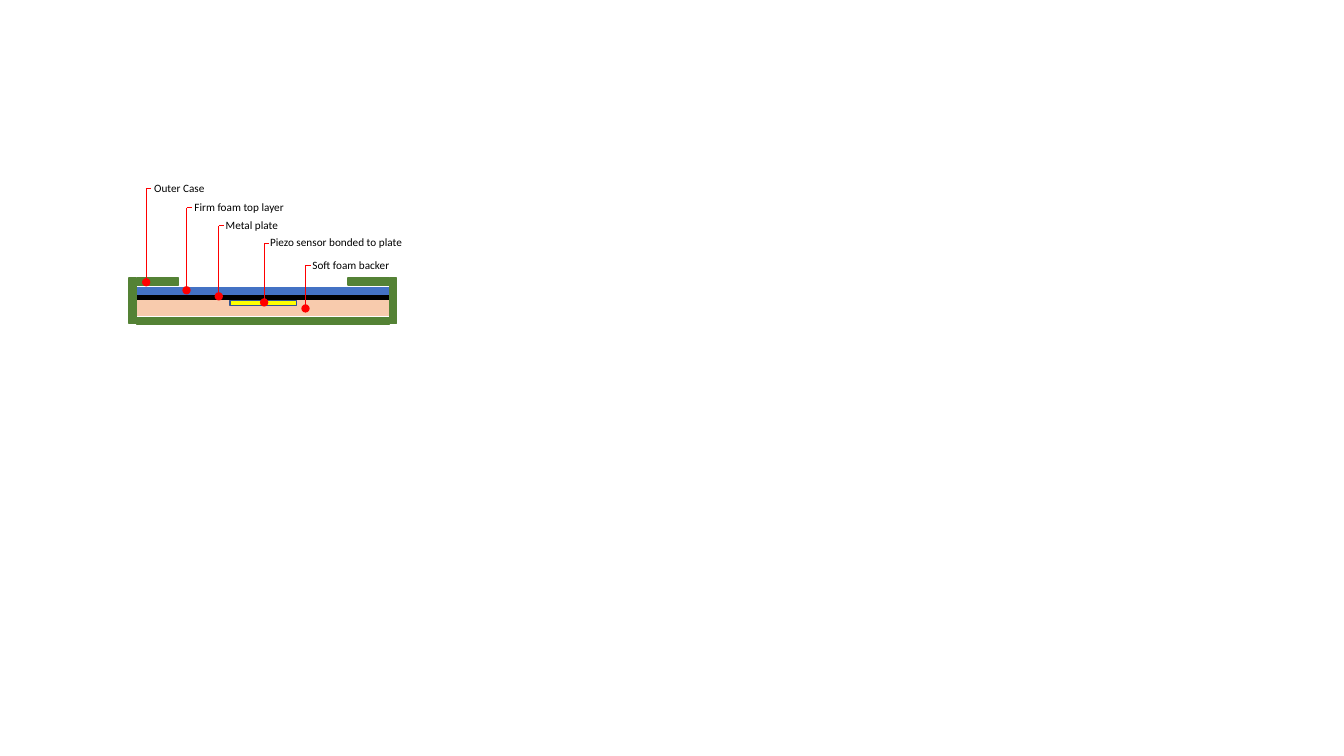
"""Build a slide showing a labelled cross-section of a piezo sensor pad."""
from dataclasses import dataclass

from lxml import etree
from pptx import Presentation
from pptx import util as u
from pptx.dml.color import RGBColor
from pptx.enum import shapes, text
from pptx.oxml.ns import qn

PX = 9144
COLORS = {
    "case": "548235",
    "firm_foam": "4472C4",
    "metal": "000000",
    "soft_foam": "F8CBAD",
    "piezo": "FFFF00",
    "piezo_edge": "325491",
    "leader": "FF0000",
    "text": "000000",
}
FONT = "Calibri"
STUB = 5
LABEL_RISE = 12
LABEL_HEIGHT = 24


@dataclass
class Layer:
    left: int
    top: int
    width: int
    height: int
    fill: str
    edge: str
    rotation: int = 0


@dataclass
class Callout:
    label: str
    x: int
    tip_y: int
    label_y: int
    label_left: int
    label_width: int
    wrap: bool = False


LAYERS = [
    Layer(136, 298, 250, 15, "soft_foam", "soft_foam"),
    Layer(136, 292, 250, 5, "metal", "metal"),
    Layer(136, 285, 250, 7, "firm_foam", "firm_foam"),
    Layer(228, 298, 66, 5, "piezo", "piezo_edge"),
    Layer(136, 276, 41, 7, "case", "case"),
    Layer(345, 276, 41, 7, "case", "case"),
    Layer(136, 315, 250, 7, "case", "case"),
    Layer(109, 295, 45, 7, "case", "case", 90),
    Layer(367, 295, 45, 7, "case", "case", 90),
]

CALLOUTS = [
    Callout("Outer Case", 145, 280, 187, 143, 71),
    Callout("Firm foam top layer", 185, 288, 206, 183, 110),
    Callout("Metal plate", 217, 294, 224, 214, 73),
    Callout("Piezo sensor bonded to plate", 262, 300, 241, 258, 156, True),
    Callout("Soft foam backer", 303, 306, 263, 300, 98),
]


def px(n: int) -> u.Emu:
    """Turn px into EMU."""
    return u.Emu(n * PX)


def rgb(name: str) -> RGBColor:
    """Look up a named colour."""
    return RGBColor.from_string(COLORS[name])


def add_layer(s, layer: Layer) -> None:
    """Draw one rectangular part of the pad."""
    sp = s.shapes.add_shape(
        shapes.MSO_SHAPE.RECTANGLE,
        px(layer.left), px(layer.top), px(layer.width), px(layer.height),
    )
    sp.shadow.inherit = False
    sp.rotation = layer.rotation
    sp.fill.solid()
    sp.fill.fore_color.rgb = rgb(layer.fill)
    sp.line.color.rgb = rgb(layer.edge)
    sp.line.width = u.Pt(1)


def add_line(group, x1: int, y1: int, x2: int, y2: int, dot: bool = False) -> None:
    """Draw one leader segment, with an optional dot at its start."""
    line = group.shapes.add_connector(
        shapes.MSO_CONNECTOR.STRAIGHT, px(x1), px(y1), px(x2), px(y2)
    )
    line.line.color.rgb = rgb("leader")
    line.line.width = u.Pt(0.5)
    sp_pr = line._element.spPr
    etree.SubElement(sp_pr, qn("a:effectLst"))
    if dot:
        etree.SubElement(sp_pr.find(qn("a:ln")), qn("a:headEnd"), type="oval")


def add_leader(s, c: Callout) -> None:
    """Draw the grouped elbow from a part up to its label."""
    group = s.shapes.add_group_shape()
    add_line(group, c.x, c.tip_y, c.x, c.label_y, dot=True)
    add_line(group, c.x, c.label_y, c.x + STUB, c.label_y)


def add_label(s, c: Callout) -> None:
    """Write the name of a part beside its leader."""
    sp = s.shapes.add_textbox(
        px(c.label_left), px(c.label_y - LABEL_RISE), px(c.label_width), px(LABEL_HEIGHT)
    )
    tf = sp.text_frame
    tf.text = c.label
    tf.word_wrap = c.wrap
    tf.auto_size = text.MSO_AUTO_SIZE.SHAPE_TO_FIT_TEXT
    r = tf.paragraphs[0].runs[0]
    r.font.name = FONT
    r.font.size = u.Pt(8)
    r.font.color.rgb = rgb("text")


def main() -> None:
    """Build and save the slide."""
    prs = Presentation()
    prs.slide_width, prs.slide_height = px(1333), px(750)
    s = prs.slides.add_slide(prs.slide_layouts[6])
    for layer in LAYERS:
        add_layer(s, layer)
    for callout in CALLOUTS:
        add_leader(s, callout)
    for callout in CALLOUTS:
        add_label(s, callout)
    prs.save("out.pptx")


if __name__ == "__main__":
    main()
